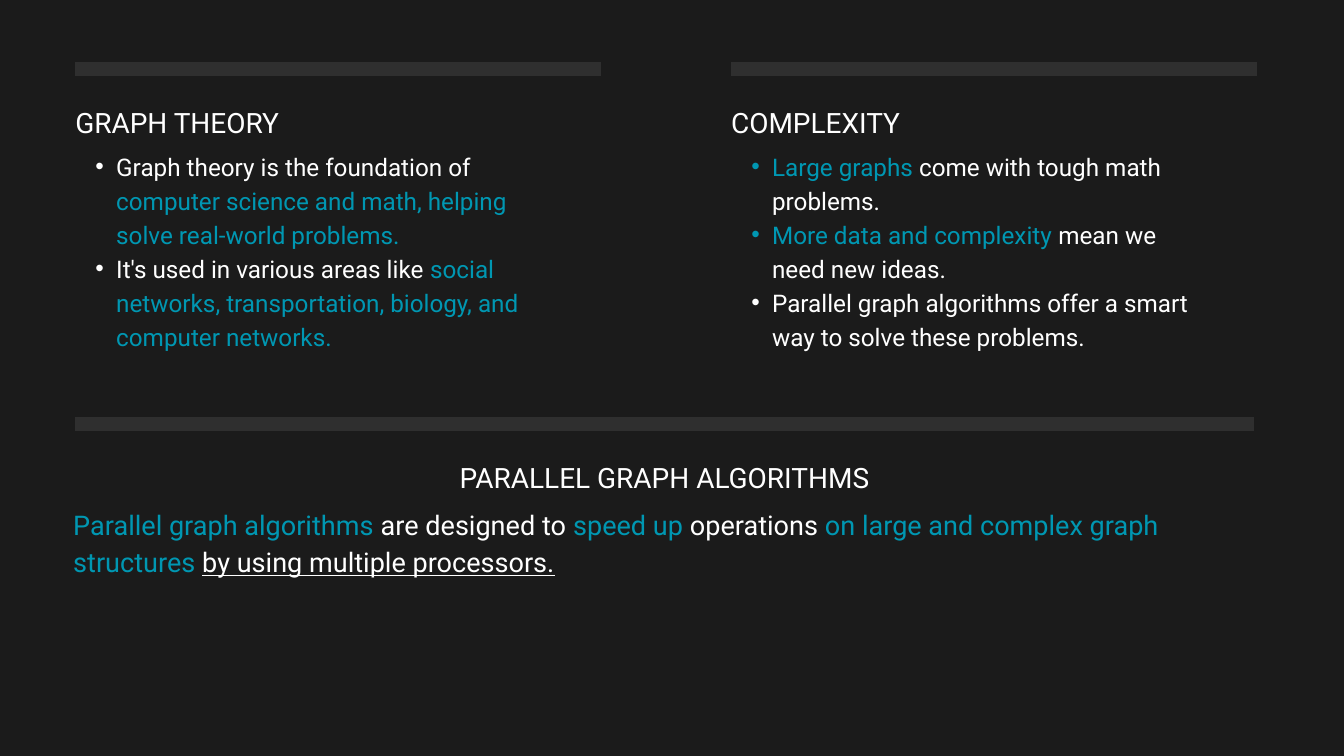
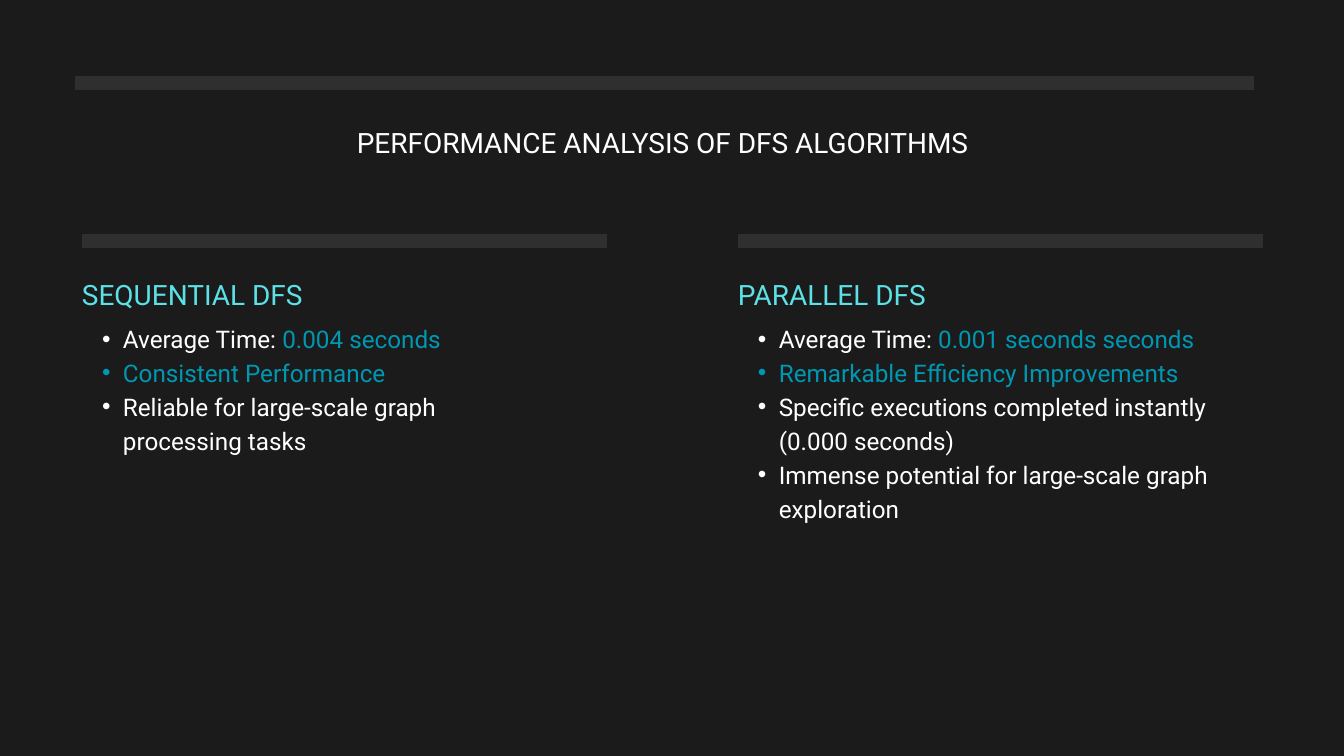
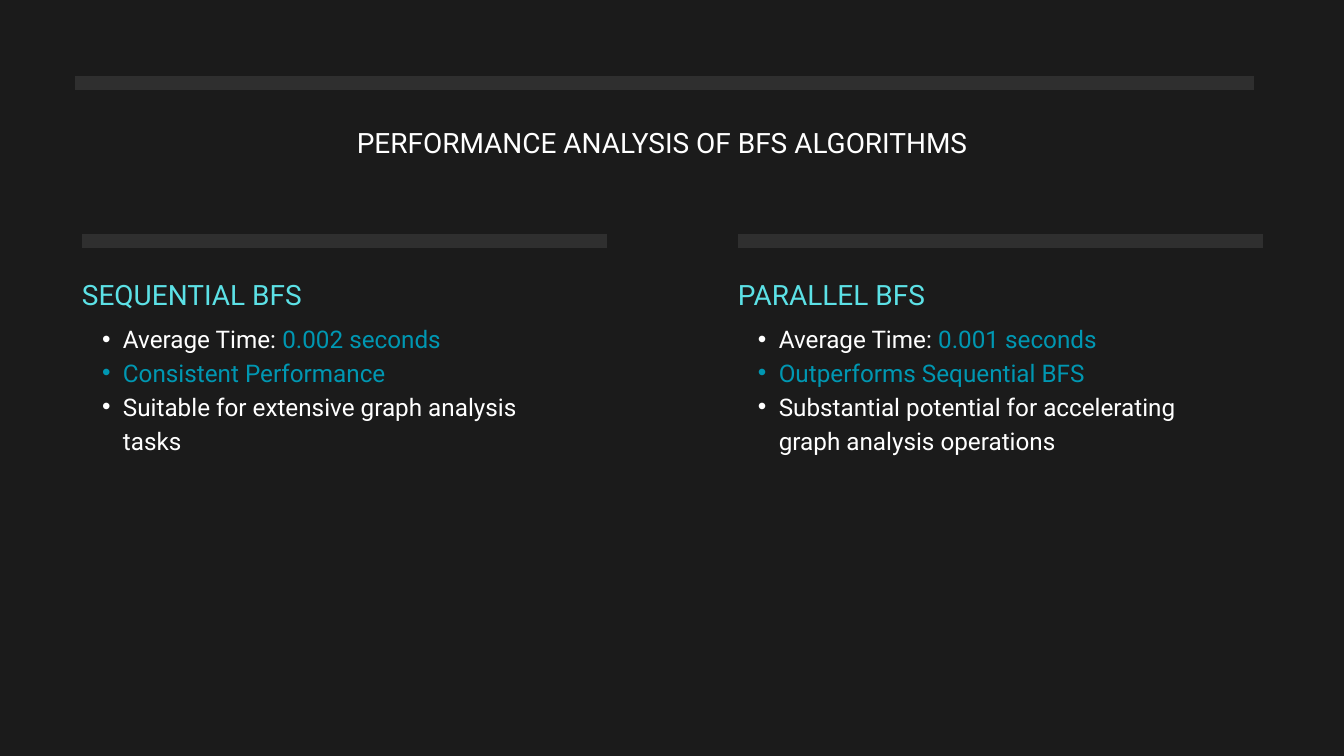
from dataclasses import dataclass

from lxml import etree
from pptx import Presentation
from pptx.dml.color import RGBColor
from pptx.enum.shapes import MSO_CONNECTOR
from pptx.enum.text import MSO_ANCHOR, MSO_AUTO_SIZE, PP_ALIGN
from pptx.oxml.ns import qn
from pptx.util import Inches, Pt

STRAIGHT = MSO_CONNECTOR.STRAIGHT
TOP = MSO_ANCHOR.TOP
GROW = MSO_AUTO_SIZE.SHAPE_TO_FIT_TEXT
LEFT, CENTER = PP_ALIGN.LEFT, PP_ALIGN.CENTER
TITLE_ONLY = 5


@dataclass(frozen=True)
class Theme:
    font: str = "Roboto"
    background: RGBColor = RGBColor(0x1B, 0x1B, 0x1B)
    bar: RGBColor = RGBColor(0x2F, 0x2F, 0x2F)
    text: RGBColor = RGBColor(0xFF, 0xFF, 0xFF)
    accent: RGBColor = RGBColor(0x00, 0x97, 0xB2)
    bright: RGBColor = RGBColor(0x5C, 0xE1, 0xE6)
    heading_size: float = 30
    summary_size: float = 29
    bullet_size: float = 26
    leading: float = 1.4
    bar_weight: float = 15


THEME = Theme()

# Layout in inches
WIDE_BAR_LEFT, WIDE_BAR_WIDTH = 1.12, 17.54
COLUMN_WIDTH, COLUMN_STEP = 7.82, 9.76
HEADING_DROP, BULLETS_DROP = 0.46, 1.17
HEADING_WIDTH, HEADING_HEIGHT = 4.38, 0.58
BULLETS_WIDTH = 7.04


def plain(text):
    return text, THEME.text, False


def accent(text):
    return text, THEME.accent, False


def underlined(text):
    return text, THEME.text, True


def prepare_frame(shape):
    frame = shape.text_frame
    frame.margin_left = frame.margin_top = frame.margin_right = frame.margin_bottom = 0
    frame.word_wrap = True
    frame.auto_size = GROW
    frame.vertical_anchor = TOP
    return frame


def add_text_frame(slide, left, top, width, height):
    return prepare_frame(slide.shapes.add_textbox(
        Inches(left), Inches(top), Inches(width), Inches(height)))


def write_phrases(paragraph, phrases, size):
    """Fill a paragraph with (text, colour, underline) phrases."""
    paragraph.line_spacing = Pt(size * THEME.leading)
    for text, color, underline in phrases:
        run = paragraph.add_run()
        run.text = text
        run.font.name = THEME.font
        run.font.size = Pt(size)
        run.font.color.rgb = color
        if underline:
            run.font.underline = True


def add_bullet_mark(paragraph):
    paragraph.level = 1
    properties = paragraph._p.get_or_add_pPr()
    properties.set("marL", str(Inches(0.61)))
    properties.set("indent", str(Inches(-0.31)))
    etree.SubElement(properties, qn("a:buFont")).set("typeface", "Arial")
    etree.SubElement(properties, qn("a:buChar")).set("char", "•")


def add_bar(slide, left, y, width):
    bar = slide.shapes.add_connector(
        STRAIGHT, Inches(left), Inches(y), Inches(left + width), Inches(y))
    bar.line.color.rgb = THEME.bar
    bar.line.width = Pt(THEME.bar_weight)
    etree.SubElement(bar._element.spPr, qn("a:effectLst"))


def add_heading(slide, text, left, top, color):
    frame = add_text_frame(slide, left, top, HEADING_WIDTH, HEADING_HEIGHT)
    write_phrases(frame.paragraphs[0], [(text, color, False)], THEME.heading_size)


def add_bullets(slide, items, left, top, height):
    frame = add_text_frame(slide, left, top, BULLETS_WIDTH, height)
    for index, phrases in enumerate(items):
        paragraph = frame.add_paragraph() if index else frame.paragraphs[0]
        add_bullet_mark(paragraph)
        write_phrases(paragraph, phrases, THEME.bullet_size)


def add_columns(slide, left, top, columns, heading_color):
    """Place (heading, bullets height, bullets) columns, each under a bar."""
    for index, (heading, height, items) in enumerate(columns):
        x = left + index * COLUMN_STEP
        add_bar(slide, x, top, COLUMN_WIDTH)
        add_heading(slide, heading, x, top + HEADING_DROP, heading_color)
        add_bullets(slide, items, x, top + BULLETS_DROP, height)


def set_title(slide, text, left, top, width, height, alignment):
    title = slide.shapes.title
    title.left, title.top = Inches(left), Inches(top)
    title.width, title.height = Inches(width), Inches(height)
    paragraph = prepare_frame(title).paragraphs[0]
    paragraph.alignment = alignment
    write_phrases(paragraph, [plain(text)], THEME.heading_size)


def add_slide(prs, wide_bar_y):
    slide = prs.slides.add_slide(prs.slide_layouts[TITLE_ONLY])
    add_bar(slide, WIDE_BAR_LEFT, wide_bar_y, WIDE_BAR_WIDTH)
    return slide


def build_overview(prs):
    slide = add_slide(prs, 6.31)
    add_columns(slide, 1.12, 1.02, [
        ("GRAPH THEORY", 2.99, [
            [plain("Graph theory is the foundation of "),
             accent("computer science and math, helping solve real-world problems.")],
            [plain("It's used in various areas like "),
             accent("social networks, transportation, biology, and computer networks.")],
        ]),
        ("COMPLEXITY", 3.49, [
            [accent("Large graphs"), plain(" come with tough math problems.")],
            [accent("More data and complexity"), plain(" mean we need new ideas.")],
            [plain("Parallel graph algorithms offer a smart way to solve these problems.")],
        ]),
    ], THEME.text)
    set_title(slide, "PARALLEL GRAPH ALGORITHMS", 6.55, 6.77, 6.68, 0.58, CENTER)
    summary = add_text_frame(slide, 1.09, 7.48, 17.57, 2.12)
    write_phrases(summary.paragraphs[0], [
        accent("Parallel graph algorithms"), plain(" are designed to "),
        accent("speed up"), plain(" operations "),
        accent("on large and complex graph structures "),
        underlined("by using multiple processors."),
    ], THEME.summary_size)


def build_analysis(prs, algorithm, sequential, parallel):
    """Compare two (average time, bullets height, finding, remarks) variants."""
    slide = add_slide(prs, 1.23)
    set_title(slide, f"PERFORMANCE ANALYSIS OF {algorithm} ALGORITHMS",
              5.31, 1.78, 9.39, 1.17, LEFT)
    columns = []
    for variant, results in (("SEQUENTIAL", sequential), ("PARALLEL", parallel)):
        time, height, finding, remarks = results
        items = [[plain("Average Time: "), accent(time)], [accent(finding)]]
        items += [[plain(remark)] for remark in remarks]
        columns.append((f"{variant} {algorithm}", height, items))
    add_columns(slide, 1.22, 3.58, columns, THEME.bright)


def main():
    prs = Presentation()
    prs.slide_width, prs.slide_height = Inches(20), Inches(11.25)
    backdrop = prs.slide_master.background.fill
    backdrop.solid()
    backdrop.fore_color.rgb = THEME.background

    build_overview(prs)
    build_analysis(
        prs, "DFS",
        ("0.004 seconds", 2.49, "Consistent Performance",
         ["Reliable for large-scale graph processing tasks"]),
        ("0.001 seconds seconds", 3.49, "Remarkable Efficiency Improvements",
         ["Specific executions completed instantly (0.000 seconds)",
          "Immense potential for large-scale graph exploration"]))
    build_analysis(
        prs, "BFS",
        ("0.002 seconds", 2.49, "Consistent Performance",
         ["Suitable for extensive graph analysis tasks"]),
        ("0.001 seconds", 2.49, "Outperforms Sequential BFS",
         ["Substantial potential for accelerating graph analysis operations"]))
    prs.save("out.pptx")


if __name__ == "__main__":
    main()
